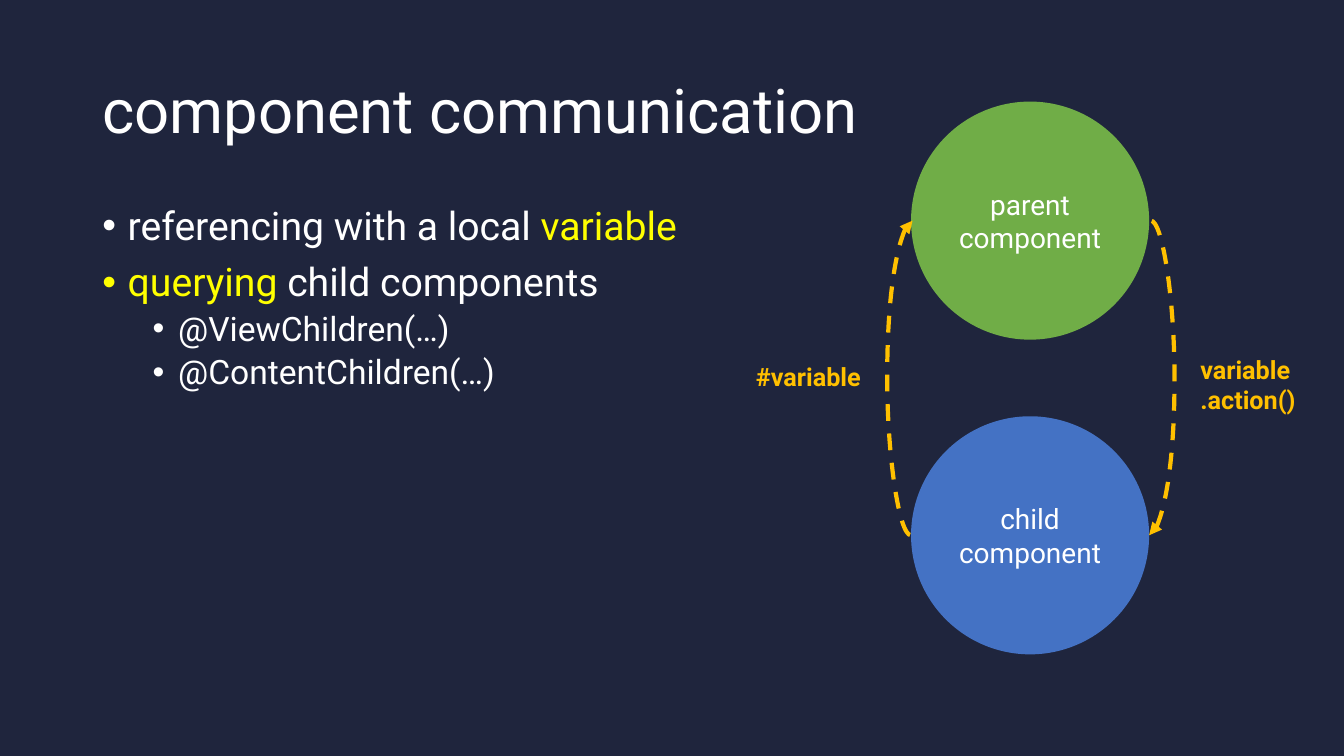
from lxml.etree import SubElement
from pptx import Presentation
from pptx.dml.color import RGBColor
from pptx.enum.dml import MSO_LINE_DASH_STYLE as Dash
from pptx.enum.shapes import MSO_CONNECTOR as Connector, MSO_SHAPE as Shape
from pptx.enum.text import MSO_ANCHOR as Anchor, PP_ALIGN as Align
from pptx.oxml.ns import qn
from pptx.util import Cm, Pt

WHITE, YELLOW, AMBER = "FFFFFF", "FFFF00", "FFC000"
NAVY, GREEN, BLUE = "1F253D", "70AD47", "4472C4"


def rgb(hex_color):
    return RGBColor.from_string(hex_color)


class Deck:
    font = "Roboto"

    def __init__(self, width, height, background):
        self.prs = Presentation()
        self.prs.slide_width, self.prs.slide_height = Cm(width), Cm(height)
        self.slide = self.prs.slides.add_slide(self.prs.slide_layouts[6])
        fill = self.slide.background.fill
        fill.solid()
        fill.fore_color.rgb = rgb(background)

    def style(self, run, size, color, bold=False):
        run.font.name, run.font.size, run.font.bold = self.font, Pt(size), bold
        run.font.color.rgb = rgb(color)

    def text(self, box, lines, size, color, bold=False, anchor=Anchor.TOP):
        shape = self.slide.shapes.add_textbox(*map(Cm, box))
        frame = shape.text_frame
        frame.word_wrap, frame.vertical_anchor = True, anchor
        frame.text = "\n".join(lines)
        for paragraph in frame.paragraphs:
            for run in paragraph.runs:
                self.style(run, size, color, bold)
        return frame

    def bullets(self, box, items):
        """Each item is (level, [(text, color), ...])."""
        frame = self.text(box, [""], 28, WHITE)
        for index, (level, parts) in enumerate(items):
            paragraph = frame.add_paragraph() if index else frame.paragraphs[0]
            paragraph.level = level
            paragraph.line_spacing = 0.9
            paragraph.space_before = Pt(5 if level else 10)
            for words, color in parts:
                run = paragraph.add_run()
                run.text = words
                self.style(run, 24 if level else 28, color)
            props = paragraph._p.get_or_add_pPr()
            props.set("marL", str(Cm(0.64 + 1.27 * level)))
            props.set("indent", str(-Cm(0.64)))
            SubElement(props, qn("a:buFont"), typeface="Arial")
            SubElement(props, qn("a:buChar"), char="•")

    def circle(self, left, top, diameter, label, color):
        shape = self.slide.shapes.add_shape(
            Shape.OVAL, Cm(left), Cm(top), Cm(diameter), Cm(diameter))
        shape.shadow.inherit = False
        shape.fill.solid()
        shape.fill.fore_color.rgb = rgb(color)
        shape.line.fill.background()
        frame = shape.text_frame
        frame.text, frame.word_wrap = label, True
        frame.vertical_anchor = Anchor.MIDDLE
        frame.paragraphs[0].alignment = Align.CENTER
        self.style(frame.paragraphs[0].runs[0], 20, WHITE)

    def curved_arrow(self, start, end, bulge):
        """Dashed curve with its arrowhead at start; bulge is a multiple of its width."""
        curve = self.slide.shapes.add_connector(
            Connector.CURVE, *map(Cm, (*start, *end)))
        curve.line.color.rgb = rgb(AMBER)
        curve.line.width = Pt(3)
        curve.line.dash_style = Dash.DASH
        SubElement(curve.line._ln, qn("a:headEnd"), type="triangle")
        props = curve._element.spPr
        SubElement(props, qn("a:effectLst"))
        guides = props.find(qn("a:prstGeom")).get_or_add_avLst()
        SubElement(guides, qn("a:gd"), name="adj1", fmla=f"val {bulge * 100000}")


def main():
    deck = Deck(33.87, 19.05, NAVY)
    deck.bullets((2.33, 5.08, 29.21, 12.09), [
        (0, [("referencing with a local ", WHITE), ("variable", YELLOW)]),
        (0, [("querying ", YELLOW), ("child components", WHITE)]),
        (1, [("@ViewChildren(…)", WHITE)]),
        (1, [("@ContentChildren(…)", WHITE)]),
    ])
    title = deck.text((2.33, 1.01, 29.21, 3.68), ["component communication"],
                      44, WHITE, anchor=Anchor.MIDDLE)
    title.paragraphs[0].line_spacing = 0.9

    left, diameter = 22.96, 6
    parent_top, child_top = 2.56, 10.49
    deck.circle(left, child_top, diameter, "child component", BLUE)
    deck.circle(left, parent_top, diameter, "parent component", GREEN)

    right, run = left + diameter, 0.04
    parent_y, child_y = parent_top + diameter / 2, child_top + diameter / 2
    deck.curved_arrow((left + run, parent_y), (left, child_y), 16)
    deck.curved_arrow((right, child_y), (right + run, parent_y), 16)

    deck.text((30, 8.81, 3.15, 1.8), ["variable", ".action()"], 18, AMBER, bold=True)
    deck.text((18.8, 8.97, 3.18, 1.02), ["#variable"], 18, AMBER, bold=True)
    deck.prs.save("out.pptx")


if __name__ == "__main__":
    main()
